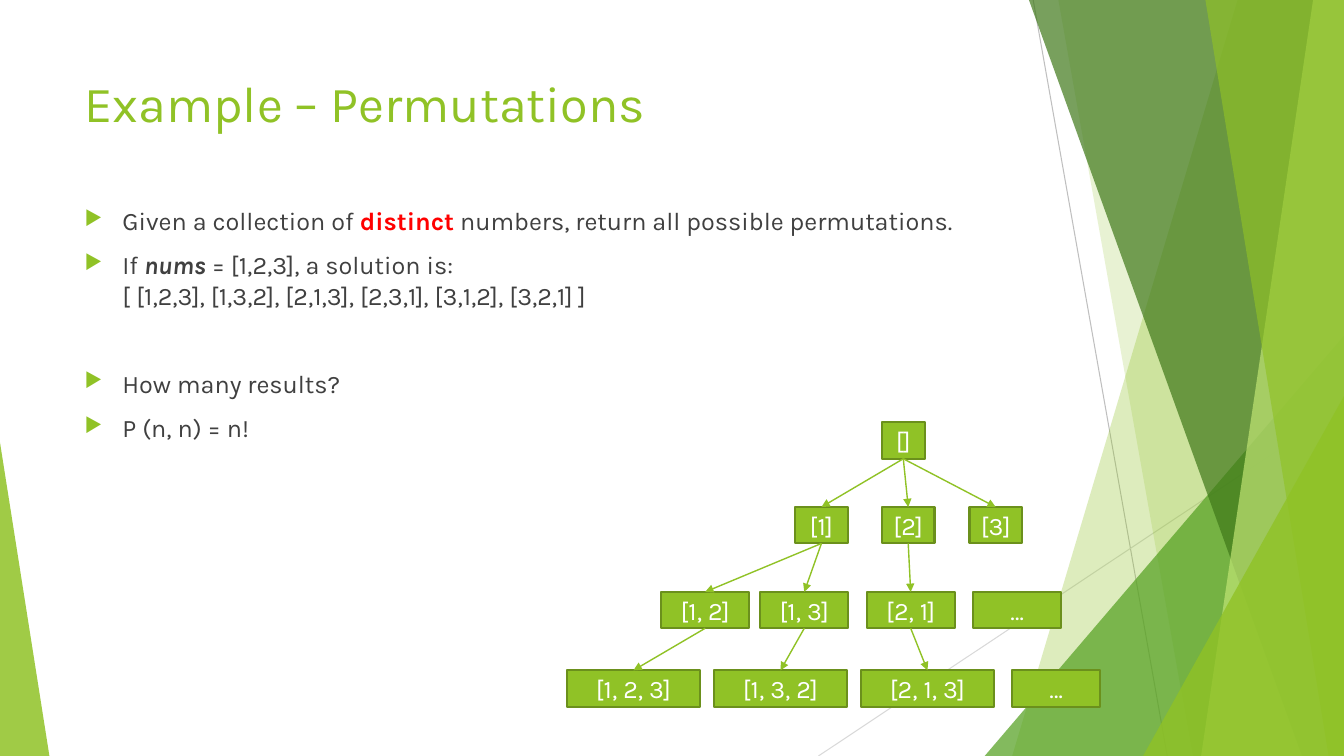
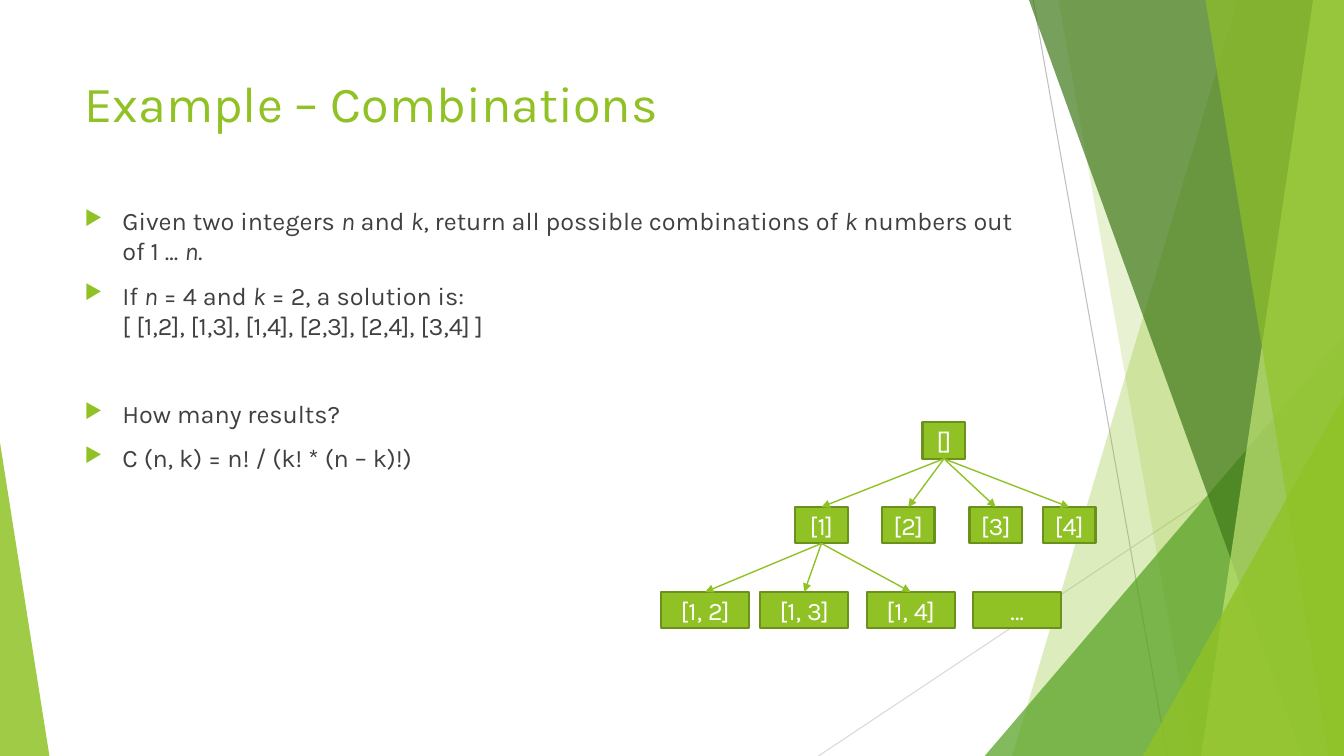
from lxml import etree
from pptx import Presentation
from pptx.dml.color import RGBColor
from pptx.enum.shapes import MSO_CONNECTOR, MSO_SHAPE
from pptx.enum.text import MSO_ANCHOR, MSO_AUTO_SIZE, PP_ALIGN
from pptx.oxml.ns import qn
from pptx.util import Pt

LINE = MSO_CONNECTOR.STRAIGHT
RECT, WEDGE = MSO_SHAPE.RECTANGLE, MSO_SHAPE.ISOSCELES_TRIANGLE
TOP, MIDDLE = MSO_ANCHOR.TOP, MSO_ANCHOR.MIDDLE
LEFT, CENTER = PP_ALIGN.LEFT, PP_ALIGN.CENTER
FIXED = MSO_AUTO_SIZE.NONE

# Shared look
LIME, EDGE, TEXT, WHITE, RED = "90C226", "6B901C", "404040", "FFFFFF", "FF0000"
WIDE, HIGH = 960, 540
HEAD = {"name": "Karla", "size": Pt(36)}
BODY = {"name": "Karla", "size": Pt(18)}
FRAME = {"word_wrap": True, "auto_size": FIXED, "vertical_anchor": TOP}
BOLD, ITALIC = {"bold": True}, {"italic": True}
BOTH = BOLD | ITALIC

# Thin lines: colour and end points
RULES = [("BFBFBF", 738, 0, 833.76, HIGH), ("D9D9D9", WIDE, 290.2, 584.6, HIGH)]

# Bands: colour, opacity, then top and bottom x of the slanted edge,
# or left, top, width and apex of a triangle that stands on the bottom
BANDS = [
    (LIME, 30, (884.2, 722.9)),
    (LIME, 20, (756, 851.8)),
    ("54A021", 72, (703.4, 239.8, 256.6, 1)),
    ("3F7819", 70, (735.1, 929.5)),
    ("C0E474", 70, (938.2, 858.2)),
    (LIME, 65, (861.1, 949)),
    (LIME, 80, (816.5, 283, 143.5, 1)),
    (LIME, 85, (0, 316.1, 35.3, 0)),
]

# Tree rows: top and box width
ROWS = [(301.7, 30.5), (362.2, 37.5), (422.8, 63), (478.8, 95)]
BOX, MORE = 26, "…"

# Slides: title, paragraphs of (text, format) runs, nodes of
# (label, row, left, parent)
SLIDES = [
    ("Example – Permutations", [
        [("Given a collection of ", {}), ("distinct", BOLD),
         (" numbers, return all possible permutations.", {})],
        [("If ", {}), ("nums", BOTH), (" = [1,2,3], a solution is:", {}),
         ("\n[ [1,2,3], [1,3,2], [2,1,3], [2,3,1], [3,1,2], [3,2,1] ]", {})],
        [("How many results?", {})],
        [("P (n, n) = n!", {})],
    ], [
        ("[]", 0, 630, None),
        ("[1]", 1, 568, "[]"), ("[2]", 1, 630, "[]"), ("[3]", 1, 692.5, "[]"),
        ("[1, 2]", 2, 472.2, "[1]"), ("[1, 3]", 2, 543, "[1]"),
        ("[2, 1]", 2, 619, "[2]"), (MORE, 2, 695, None),
        ("[1, 2, 3]", 3, 405, "[1, 2]"), ("[1, 3, 2]", 3, 510, "[1, 3]"),
        ("[2, 1, 3]", 3, 615, "[2, 1]"), (MORE, 3, 723, None),
    ]),
    ("Example – Combinations", [
        [("Given two integers ", {}), ("n", ITALIC), (" and ", {}),
         ("k", ITALIC), (", return all possible combinations of ", {}),
         ("k", ITALIC), (" numbers out of 1 ... ", {}), ("n", ITALIC),
         (".", {})],
        [("If ", {}), ("n", ITALIC), (" = 4 and ", {}), ("k", ITALIC),
         (" = 2, a solution is:", {}),
         ("\n[ [1,2], [1,3], [1,4], [2,3], [2,4], [3,4] ]", {})],
        [("How many results?", {})],
        [("C (n, k) = n! / (k! * (n – k)!)", {})],
    ], [
        ("[]", 0, 659, None),
        ("[1]", 1, 568, "[]"), ("[2]", 1, 630, "[]"),
        ("[3]", 1, 692.5, "[]"), ("[4]", 1, 745, "[]"),
        ("[1, 2]", 2, 472.2, "[1]"), ("[1, 3]", 2, 543, "[1]"),
        ("[1, 4]", 2, 619, "[1]"), (MORE, 2, 695, None),
    ]),
]


def style(item, values):
    for name, value in values.items():
        setattr(item, name, value)


def paint(fill, code):
    fill.solid()
    fill.fore_color.rgb = RGBColor.from_string(code)


deck = Presentation()
style(deck, {"slide_width": Pt(WIDE), "slide_height": Pt(HIGH)})

for head, paras, nodes in SLIDES:
    slide = deck.slides.add_slide(deck.slide_layouts[5])
    shapes = slide.shapes
    links = []

    # Background lines and bands
    for code, *ends in RULES:
        rule = shapes.add_connector(LINE, *map(Pt, ends))
        paint(rule.line.fill, code)
        rule.line.width = Pt(0.75)
        links.append(rule)
    for code, alpha, geo in BANDS:
        if len(geo) == 2:
            upper, lower = geo
            pen = shapes.build_freeform(upper, 0, scale=Pt(1))
            pen.add_line_segments([(WIDE, 0), (WIDE, HIGH), (lower, HIGH)])
            band = pen.convert_to_shape()
        else:
            left, top, width, apex = geo
            band = shapes.add_shape(WEDGE, Pt(left), Pt(top), Pt(width),
                                    Pt(HIGH - top))
            band.adjustments[0] = apex
        paint(band.fill, code)
        for tone in band._element.spPr.iter(qn("a:srgbClr")):
            etree.SubElement(tone, qn("a:alpha"), val=str(alpha * 1000))
        band.line.fill.background()
        band.shadow.inherit = False

    # Title
    title = shapes.title
    style(title, {"left": Pt(53.3), "top": Pt(48), "width": Pt(677),
                  "height": Pt(104)})
    style(title.text_frame, FRAME)
    title.text_frame.text = head
    para = title.text_frame.paragraphs[0]
    para.alignment = LEFT
    style(para.runs[0].font, HEAD)
    paint(para.runs[0].font.fill, LIME)

    # Bulleted text, with a wider gap before the third point
    frame = shapes.add_textbox(Pt(53.3), Pt(143.3), Pt(677),
                               Pt(343)).text_frame
    style(frame, FRAME)
    for index, runs in enumerate(paras):
        para = frame.add_paragraph() if index else frame.paragraphs[0]
        para.space_before = Pt(41.2 if index == 2 else 10)
        props = para._p.get_or_add_pPr()
        props.set("marL", str(Pt(27)))
        props.set("indent", str(Pt(-27)))
        tint = etree.SubElement(props, qn("a:buClr"))
        etree.SubElement(tint, qn("a:srgbClr"), val=LIME)
        etree.SubElement(props, qn("a:buSzPct"), val="80000")
        etree.SubElement(props, qn("a:buChar"), char="▶")
        for words, look in runs:
            if words.startswith("\n"):
                para.add_line_break()
            run = para.add_run()
            run.text = words.strip("\n")
            style(run.font, BODY | look)
            paint(run.font.fill, RED if look == BOLD else TEXT)

    # Tree boxes and the arrows from their parents
    boxes = {}
    for label, row, left, parent in nodes:
        top, width = ROWS[row]
        if label == MORE:
            width = ROWS[2][1]
        box = shapes.add_shape(RECT, Pt(left), Pt(top), Pt(width), Pt(BOX))
        boxes[label] = box
        paint(box.fill, LIME)
        paint(box.line.fill, EDGE)
        box.line.width = Pt(1.5)
        box.shadow.inherit = False
        box.text_frame.text = label
        box.text_frame.vertical_anchor = MIDDLE
        para = box.text_frame.paragraphs[0]
        para.alignment = CENTER
        style(para.runs[0].font, BODY)
        paint(para.runs[0].font.fill, WHITE)
        if parent:
            arrow = shapes.add_connector(LINE, 0, 0, 0, 0)
            arrow.begin_connect(boxes[parent], 2)
            arrow.end_connect(box, 0)
            paint(arrow.line.fill, LIME)
            arrow.line.width = Pt(1)
            etree.SubElement(arrow.line._get_or_add_ln(), qn("a:tailEnd"),
                             type="triangle")
            links.append(arrow)

    # Lines without shadow
    for link in links:
        etree.SubElement(link._element.spPr, qn("a:effectLst"))

deck.save("out.pptx")
